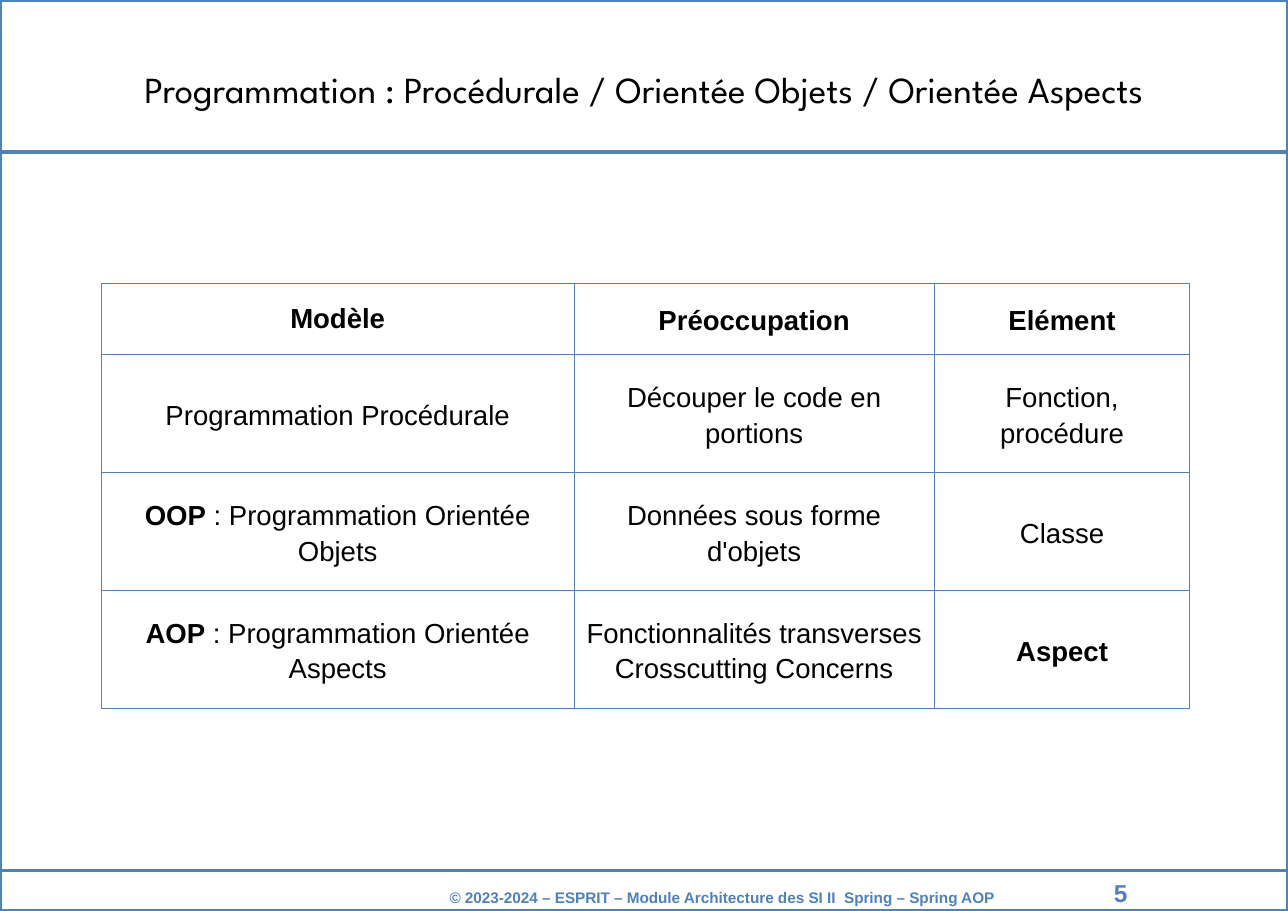
from dataclasses import dataclass

from lxml.etree import SubElement
from pptx import Presentation
from pptx.dml.color import RGBColor
from pptx.enum.shapes import MSO_SHAPE
from pptx.enum.text import MSO_ANCHOR, PP_ALIGN
from pptx.oxml import parse_xml
from pptx.oxml.ns import nsdecls, qn
from pptx.util import Inches, Pt

TITLE = "Programmation : Procédurale / Orientée Objets / Orientée Aspects"
FOOTER = "© 2023-2024 – ESPRIT – Module Architecture des SI II  Spring – Spring AOP"
PAGE_NUMBER = "5"

# Each cell is (bold lead, regular text).
MODELS = [
    [("Modèle", ""), ("Préoccupation", ""), ("Elément", "")],
    [("", "Programmation Procédurale"), ("", "Découper le code en portions"),
     ("", "Fonction, procédure")],
    [("OOP", " : Programmation Orientée Objets"),
     ("", "Données sous forme d'objets"), ("", "Classe")],
    [("AOP", " : Programmation Orientée Aspects"),
     ("", "Fonctionnalités transverses\vCrosscutting Concerns"), ("Aspect", "")],
]

WIDTH, HEIGHT = 11.69, 8.27
HEADER_BOTTOM, FOOTER_TOP = 1.38, 7.9
COLUMN_WIDTHS = [4.29, 3.27, 2.32]
ROW_HEIGHTS = [0.65, 1.07, 1.07, 1.07]


@dataclass(frozen=True)
class Theme:
    """Colours, fonts and type sizes of the slide."""
    blue: str = "4F81BD"
    black: str = "000000"
    white: str = "FFFFFF"
    title_font: str = "League Spartan"
    body_font: str = "Arial"
    title_size: int = 24
    table_size: int = 18
    number_size: int = 16
    footer_size: int = 10


THEME = Theme()


def style(font, name, size, color, bold=False):
    """Format a font."""
    font.name, font.size, font.bold = name, Pt(size), bold
    font.color.rgb = RGBColor.from_string(color)


def set_margins(frame, top=0):
    """Clear the insets of a text frame, except for the top one."""
    frame.margin_left = frame.margin_right = frame.margin_bottom = 0
    frame.margin_top = Inches(top)
    frame.vertical_anchor = MSO_ANCHOR.TOP
    frame.word_wrap = True


def add_band(page, top, bottom):
    """Draw one outlined band across the whole slide."""
    band = page.shapes.add_shape(MSO_SHAPE.RECTANGLE, 0, Inches(top),
                                 Inches(WIDTH), Inches(bottom - top))
    band.shadow.inherit = False
    band.fill.solid()
    band.fill.fore_color.rgb = RGBColor.from_string(THEME.white)
    band.line.color.rgb = RGBColor.from_string(THEME.blue)
    band.line.width = Pt(2)


def place_title(page):
    """Fill the title placeholder and bring it in front of the bands."""
    title = page.shapes.title
    title.left, title.top = 0, Inches(0.04)
    title.width, title.height = Inches(WIDTH), Inches(0.98)
    title.element.getparent().append(title.element)
    frame = title.text_frame
    set_margins(frame, 0.57)
    frame.text = TITLE
    para = frame.paragraphs[0]
    para.alignment = PP_ALIGN.CENTER
    style(para.runs[0].font, THEME.title_font, THEME.title_size, THEME.black)


def add_note(page, text, left, top, width, height, size, spacing):
    """Add one bold blue line to the footer band."""
    box = page.shapes.add_textbox(Inches(left), Inches(top), Inches(width), Inches(height))
    set_margins(box.text_frame)
    box.text_frame.text = text
    para = box.text_frame.paragraphs[0]
    para.line_spacing = spacing
    style(para.runs[0].font, THEME.body_font, size, THEME.blue, True)


def set_borders(cell):
    """Draw a thin blue line on all four sides of a cell."""
    properties = cell._tc.get_or_add_tcPr()
    for position, side in enumerate(("lnL", "lnR", "lnT", "lnB")):
        line = parse_xml(f'<a:{side} {nsdecls("a")} w="{Pt(0.75)}"/>')
        fill = SubElement(line, qn("a:solidFill"))
        SubElement(fill, qn("a:srgbClr"), val=THEME.blue)
        properties.insert(position, line)


def fill_cell(cell, parts, spacing):
    """Write the bold and regular parts of a cell and format it."""
    cell.fill.background()
    set_borders(cell)
    cell.vertical_anchor = MSO_ANCHOR.MIDDLE
    cell.margin_left = cell.margin_right = Inches(0.1)
    cell.margin_top = cell.margin_bottom = Inches(0.1)
    para = cell.text_frame.paragraphs[0]
    para.alignment = PP_ALIGN.CENTER
    para.line_spacing = spacing
    for bold, text in zip((True, False), parts):
        for index, piece in enumerate(text.split("\v") if text else []):
            if index:
                para.add_line_break()
            span = para.add_run()
            span.text = piece
            style(span.font, THEME.body_font, THEME.table_size, THEME.black, bold)


def add_models_table(page):
    """Add the table that compares the programming models."""
    table = page.shapes.add_table(
        len(ROW_HEIGHTS), len(COLUMN_WIDTHS), Inches(0.92), Inches(2.57),
        Inches(sum(COLUMN_WIDTHS)), Inches(sum(ROW_HEIGHTS))).table
    table.first_row = table.horz_banding = False
    for column, width in zip(table.columns, COLUMN_WIDTHS):
        column.width = Inches(width)
    for row, height, models in zip(table.rows, ROW_HEIGHTS, MODELS):
        row.height = Inches(height)
        for cell, parts in zip(row.cells, models):
            fill_cell(cell, parts, 1.0 if parts == MODELS[0][0] else 1.15)


def main():
    """Build the slide and save it."""
    deck = Presentation()
    deck.slide_width, deck.slide_height = Inches(WIDTH), Inches(HEIGHT)
    page = deck.slides.add_slide(deck.slide_layouts.get_by_name("Title Only"))
    for top, bottom in ((FOOTER_TOP, HEIGHT), (0, HEADER_BOTTOM), (HEADER_BOTTOM, FOOTER_TOP)):
        add_band(page, top, bottom)
    add_note(page, FOOTER, 4.08, 8.01, 5.71, 0.18, THEME.footer_size, 1.32)
    place_title(page)
    add_note(page, PAGE_NUMBER, 10.11, 8.02, 1.44, 0.19, THEME.number_size, 0.83)
    add_models_table(page)
    deck.save("out.pptx")


if __name__ == "__main__":
    main()
